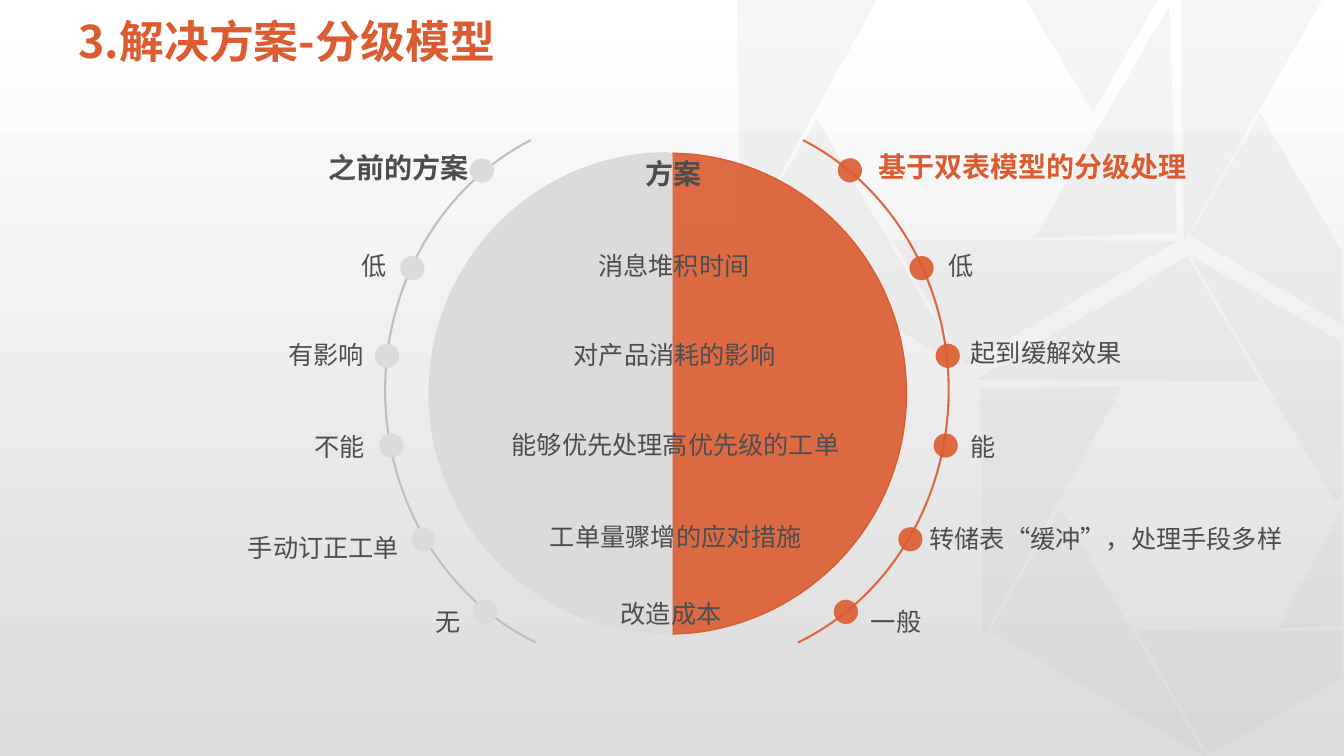
from dataclasses import dataclass

from lxml import etree
from pptx import Presentation
from pptx.dml.color import RGBColor
from pptx.enum.shapes import MSO_SHAPE
from pptx.enum.text import MSO_AUTO_SIZE, PP_ALIGN
from pptx.oxml.ns import qn
from pptx.shapes.autoshape import Shape
from pptx.shapes.shapetree import GroupShapes, SlideShapes
from pptx.util import Inches, Pt

ORANGE = RGBColor(0xDC, 0x5C, 0x31)
DISC_GRAY = RGBColor(0xDA, 0xDB, 0xDC)
ARC_GRAY = RGBColor(0xBF, 0xBF, 0xBF)
TEXT_GRAY = RGBColor(0x4B, 0x4D, 0x4F)
BACKDROP_GRAY = RGBColor(0xDC, 0xDC, 0xDC)
WHITE = RGBColor(0xFF, 0xFF, 0xFF)

RECTANGLE = MSO_SHAPE.RECTANGLE
TRIANGLE = MSO_SHAPE.RIGHT_TRIANGLE
OVAL = MSO_SHAPE.OVAL
ARC = MSO_SHAPE.ARC
LEFT = PP_ALIGN.LEFT
CENTER = PP_ALIGN.CENTER
FIT_SHAPE = MSO_AUTO_SIZE.SHAPE_TO_FIT_TEXT

LATIN_FONT = "Arial"
CHINESE_FONT = "Noto Sans CJK SC"
SLIDE_WIDTH, SLIDE_HEIGHT = 13.33, 7.5
FACET_OPACITY, ACCENT_OPACITY = 14, 90
DOT_SIZE = 0.24
DOT_TOPS = (1.57, 2.54, 3.41, 4.3, 5.23, 5.95)

Points = list[tuple[float, float]]
Shapes = SlideShapes | GroupShapes


@dataclass(frozen=True)
class Facet:
    left: float
    top: float
    width: float
    height: float
    rotation: float


@dataclass(frozen=True)
class Side:
    arc_left: float
    dot_lefts: tuple[float, ...]
    arc_color: RGBColor
    dot_color: RGBColor
    opacity: int
    mirrored: bool


@dataclass(frozen=True)
class Label:
    text: str
    left: float
    top: float
    width: float
    align: PP_ALIGN = LEFT
    size: int = 18
    color: RGBColor = TEXT_GRAY
    bold: bool = False


FACETS = (
    Facet(9.87, 3.06, 2.43, 1.43, 149.8),
    Facet(9.2, 4.38, 2.48, 1.41, 89.3),
    Facet(10, 5.57, 2.48, 1.41, 30.1),
    Facet(11.23, 0.49, 2.4, 1.41, 89.3),
    Facet(6.79, 0.5, 2.48, 1.41, 89.3),
    Facet(7.58, 1.7, 2.48, 1.41, 30.1),
    Facet(9.05, 1.67, 2.43, 1.43, 329.8),
    Facet(9.8, 0.5, 2.26, 1.41, 268.1),
)
CUT_FACETS: tuple[Points, ...] = (
    [(11.27, 6.25), (13.3, 6.26), (13.3, 6.73), (11.99, 7.49)],
    [(13.3, 5.06), (13.3, 6.21), (12.68, 6.23)],
    [(11.81, 2.54), (13.3, 3.39), (13.3, 4.91), (13.25, 4.99)],
    [(12.5, 1.12), (13.3, 2.48), (13.3, 3.21), (11.8, 2.34)],
    [(10.16, -0.02), (11.49, -0.02), (10.84, 1.12)],
)
RIGHT_HALF: Points = [
    (6.67, 1.52), (6.86, 1.53),
    (8.06, 1.65), (8.99, 2.66), (8.99, 3.9),
    (8.99, 5.14), (8.06, 6.15), (6.86, 6.28),
    (6.67, 6.29),
]
LEFT_HALF: Points = [
    (6.62, 1.51), (6.67, 1.52), (6.67, 6.29), (6.62, 6.29),
    (5.31, 6.29), (4.25, 5.22), (4.25, 3.9),
    (4.25, 2.58), (5.31, 1.51), (6.62, 1.51),
]
SIDES = (
    Side(4.38, (8.31, 9.02, 9.28, 9.26, 8.91, 8.27), ORANGE, ORANGE, ACCENT_OPACITY, False),
    Side(3.82, (4.66, 3.97, 3.72, 3.76, 4.08, 4.69), ARC_GRAY, DISC_GRAY, 100, True),
)
LABELS = (
    Label("方案", 6.3, 1.5, 0.76, CENTER, 20, bold=True),
    Label("消息堆积时间", 5.82, 2.43, 1.73, CENTER),
    Label("对产品消耗的影响", 5.58, 3.32, 2.22, CENTER),
    Label("能够优先处理高优先级的工单", 4.96, 4.21, 3.48, CENTER),
    Label("工单量骤增的应对措施", 5.34, 5.12, 2.73, CENTER),
    Label("改造成本", 6.05, 5.89, 1.21, CENTER),
    Label("之前的方案", 3.15, 1.44, 1.6, CENTER, 20, bold=True),
    Label("低", 3.49, 2.43, 0.45),
    Label("有影响", 2.76, 3.32, 0.96),
    Label("不能", 3.02, 4.23, 0.71),
    Label("手动订正工单", 2.36, 5.23, 1.72),
    Label("无", 4.22, 5.97, 0.45),
    Label("基于双表模型的分级处理", 8.61, 1.43, 3.29, LEFT, 20, ORANGE, True),
    Label("低", 9.31, 2.43, 0.45),
    Label("起到缓解效果", 9.53, 3.3, 1.72),
    Label("能", 9.53, 4.23, 0.45),
    Label("转储表“缓冲”，处理手段多样", 9.12, 5.14, 3.74),
    Label("一般", 8.54, 5.97, 0.71),
)


def set_opacity(shape: Shape, percent: int) -> None:
    """Apply the opacity to every colour the shape has so far."""
    if percent < 100:
        for color in shape.element.spPr.iter(qn("a:srgbClr")):
            etree.SubElement(color, qn("a:alpha"), val=str(percent * 1000))


def paint(shape: Shape, color: RGBColor, opacity: int = 100) -> None:
    shape.shadow.inherit = False
    shape.fill.solid()
    shape.fill.fore_color.rgb = color
    set_opacity(shape, opacity)
    shape.line.fill.background()


def add_preset(shapes: Shapes, kind: MSO_SHAPE, left: float, top: float,
               width: float, height: float) -> Shape:
    return shapes.add_shape(kind, Inches(left), Inches(top), Inches(width), Inches(height))


def add_polygon(shapes: Shapes, points: Points) -> Shape:
    corners = [(Inches(x), Inches(y)) for x, y in points]
    builder = shapes.build_freeform(*corners[0])
    builder.add_line_segments(corners[1:], close=True)
    return builder.convert_to_shape()


def add_half_disc(shapes: SlideShapes, points: Points, first_curve: int) -> Shape:
    """Turn the six lines from first_curve on into two Bézier curves."""
    half = add_polygon(shapes, points)
    lines = list(half.element.spPr.iter(qn("a:lnTo")))
    for start in (first_curve, first_curve + 3):
        curve = etree.Element(qn("a:cubicBezTo"))
        lines[start].addprevious(curve)
        for line in lines[start:start + 3]:
            curve.append(line[0])
            line.getparent().remove(line)
    return half


def draw_backdrop(shapes: GroupShapes) -> None:
    backdrop = add_preset(shapes, RECTANGLE, 0, 0, SLIDE_WIDTH, SLIDE_HEIGHT)
    paint(backdrop, WHITE)
    backdrop.fill.gradient()
    backdrop.fill.gradient_angle = 90
    for stop, color in zip(backdrop.fill.gradient_stops, (BACKDROP_GRAY, WHITE)):
        stop.color.rgb = color
    for facet in FACETS:
        triangle = add_preset(shapes, TRIANGLE, facet.left, facet.top, facet.width, facet.height)
        triangle.rotation = facet.rotation
        paint(triangle, ARC_GRAY, FACET_OPACITY)
    for points in CUT_FACETS:
        paint(add_polygon(shapes, points), ARC_GRAY, FACET_OPACITY)


def draw_disc(shapes: SlideShapes) -> None:
    right_half = add_half_disc(shapes, RIGHT_HALF, 1)
    paint(right_half, ORANGE, ACCENT_OPACITY)
    right_half.line.color.rgb = ORANGE
    right_half.line.width = Pt(1)
    paint(add_half_disc(shapes, LEFT_HALF, 3), DISC_GRAY)


def draw_side(shapes: GroupShapes, side: Side) -> None:
    arc = add_preset(shapes, ARC, side.arc_left, 1.13, 5.03, 5.48)
    arc.adjustments[0], arc.adjustments[1] = 176.0, 40.74
    arc.shadow.inherit = False
    arc.fill.background()
    arc.line.color.rgb = side.arc_color
    arc.line.width = Pt(1.5)
    set_opacity(arc, side.opacity)
    if side.mirrored:
        arc.element.spPr.find(qn("a:xfrm")).set("flipH", "1")
    for left, top in zip(side.dot_lefts, DOT_TOPS):
        dot = add_preset(shapes, OVAL, left, top, DOT_SIZE, DOT_SIZE)
        paint(dot, side.dot_color, side.opacity)


def add_text(shapes: SlideShapes, label: Label, height: float, latin: str = LATIN_FONT) -> Shape:
    box = shapes.add_textbox(Inches(label.left), Inches(label.top),
                             Inches(label.width), Inches(height))
    box.text_frame.text = label.text
    box.text_frame.word_wrap = False
    para = box.text_frame.paragraphs[0]
    para.alignment = label.align
    span = para.runs[0]
    span.font.size, span.font.bold, span.font.name = Pt(label.size), label.bold, latin
    span.font.color.rgb = label.color
    etree.SubElement(span.font._element, qn("a:ea"), typeface=CHINESE_FONT)
    return box


def main() -> None:
    deck = Presentation()
    deck.slide_width, deck.slide_height = Inches(SLIDE_WIDTH), Inches(SLIDE_HEIGHT)
    shapes = deck.slides.add_slide(deck.slide_layouts[6]).shapes
    draw_backdrop(shapes.add_group_shape().shapes)
    draw_disc(shapes)
    for side in SIDES:
        draw_side(shapes.add_group_shape().shapes, side)
    for label in LABELS:
        box = add_text(shapes, label, 0.44 if label.bold else 0.4)
        box.text_frame.auto_size = FIT_SHAPE
    heading = Label("3.解决方案-分级模型", 0.68, 0.15, 11.98, LEFT, 32, ORANGE, True)
    title = add_text(shapes, heading, 0.87, CHINESE_FONT)
    title.text_frame.word_wrap = True
    title.text_frame.paragraphs[0].line_spacing = 0.9
    deck.save("out.pptx")


if __name__ == "__main__":
    main()
